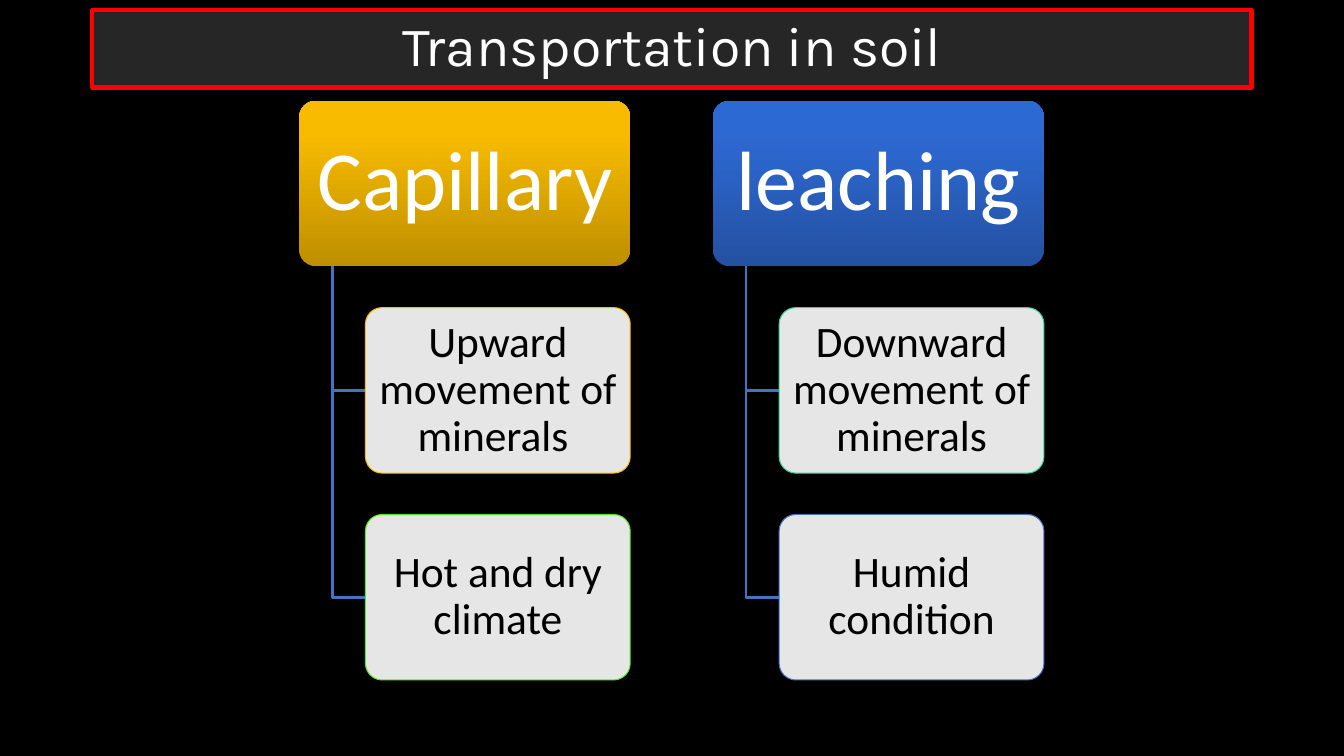
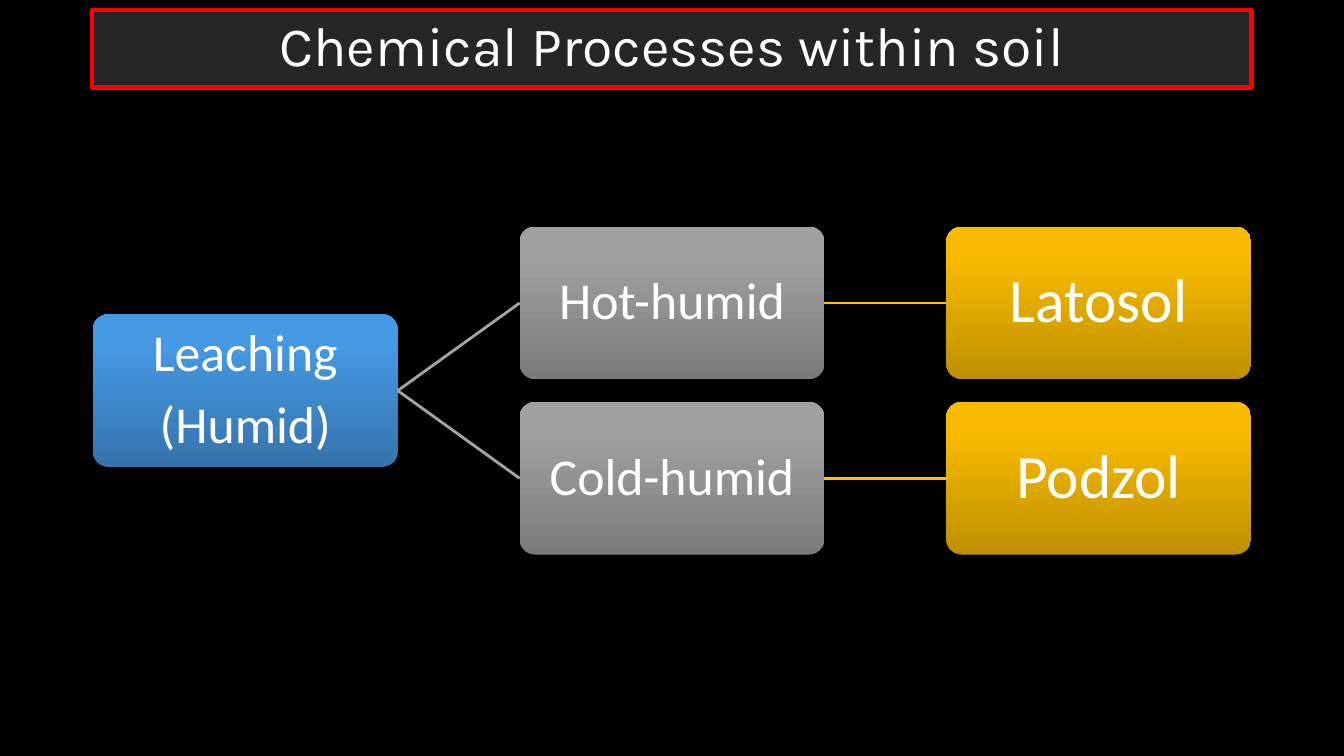
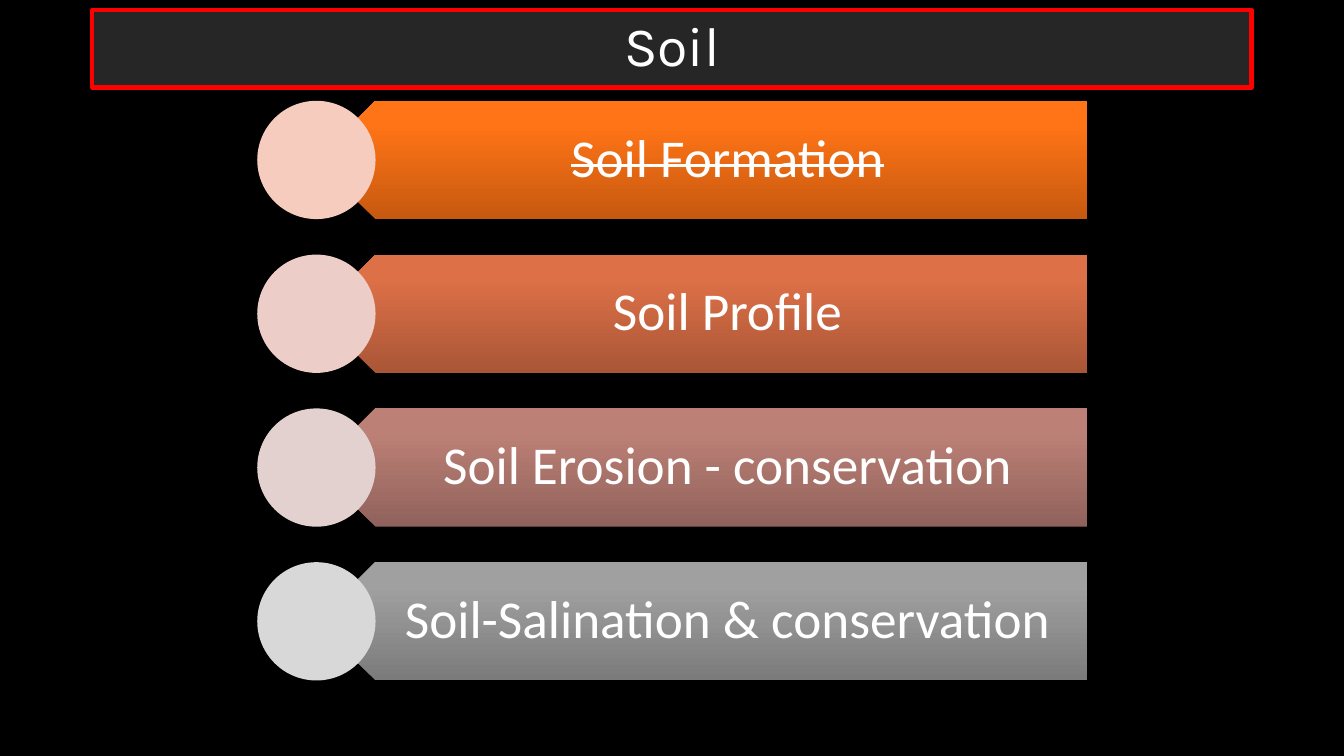
from lxml.etree import SubElement
from pptx import Presentation
from pptx.dml.color import RGBColor
from pptx.enum.shapes import MSO_CONNECTOR, MSO_SHAPE as Preset
from pptx.enum.text import MSO_ANCHOR, MSO_AUTO_SIZE, PP_ALIGN
from pptx.oxml.ns import qn
from pptx.util import Pt

BLACK = RGBColor(0x00, 0x00, 0x00)
WHITE = RGBColor(0xFF, 0xFF, 0xFF)
TITLE_FILL = RGBColor(0x26, 0x26, 0x26)
RED = RGBColor(0xFF, 0x00, 0x00)
PALE = RGBColor(0xE6, 0xE6, 0xE6)
BLUE = RGBColor(0x44, 0x72, 0xC4)
AMBER = RGBColor(0xFF, 0xC0, 0x00)
GREEN = RGBColor(0x53, 0xEB, 0x17)
TEAL = RGBColor(0x2E, 0xD7, 0xA1)
SILVER = RGBColor(0xA5, 0xA5, 0xA5)
PEACH = RGBColor(0xF6, 0xCC, 0xBE)
ROSE = RGBColor(0xED, 0xCD, 0xC7)
MAUVE = RGBColor(0xE3, 0xD1, 0xCF)
LIGHT_GRAY = RGBColor(0xD8, 0xD8, 0xD8)

# Gradients, as (bottom, top)
GOLD_FADE = RGBColor(0xBE, 0x8F, 0x00), RGBColor(0xF8, 0xBB, 0x00)
ROYAL_FADE = RGBColor(0x24, 0x51, 0xA1), RGBColor(0x2D, 0x69, 0xD3)
SKY_FADE = RGBColor(0x36, 0x74, 0xAD), RGBColor(0x45, 0x98, 0xE2)
GRAY_FADE = RGBColor(0x7B, 0x7B, 0x7B), RGBColor(0xA0, 0xA0, 0xA0)
ORANGE_FADE = RGBColor(0xC6, 0x59, 0x10), RGBColor(0xFF, 0x74, 0x16)
RUST_FADE = RGBColor(0xA9, 0x56, 0x37), RGBColor(0xDD, 0x70, 0x47)
DUSK_FADE = RGBColor(0x90, 0x62, 0x5B), RGBColor(0xBC, 0x80, 0x76)

TRANSPORT = [
    ("Capillary", GOLD_FADE,
     [("Upward movement of minerals ", AMBER), ("Hot and dry climate", GREEN)]),
    ("leaching", ROYAL_FADE,
     [("Downward movement of minerals", TEAL), ("Humid condition", BLUE)]),
]
LEACHING = ["Leaching", "(Humid)"]
SOIL_TYPES = [("Hot-humid", "Latosol"), ("Cold-humid", "Podzol")]
# Text, bar gradient, circle colour, struck through
TOPICS = [
    ("Soil Formation", ORANGE_FADE, PEACH, True),
    ("Soil Profile", RUST_FADE, ROSE, False),
    ("Soil Erosion - conservation", DUSK_FADE, MAUVE, False),
    ("Soil-Salination & conservation", GRAY_FADE, LIGHT_GRAY, False),
]


def add_page(deck, title):
    page = deck.slides.add_slide(deck.slide_layouts[5])
    box = page.shapes.title
    box.left, box.top, box.width, box.height = Pt(66), Pt(7.2), Pt(828), Pt(55.4)
    box.fill.solid()
    box.fill.fore_color.rgb = TITLE_FILL
    box.line.color.rgb = RED
    box.line.width = Pt(3)
    write(box, [title], 39.6, WHITE, "Karla", (7.2, 3.6, 7.2, 3.6))
    return page


def write(box, lines, size, color, font="Calibri", insets=(2, 2, 2, 2)):
    frame = box.text_frame
    frame.word_wrap = True
    frame.auto_size = MSO_AUTO_SIZE.NONE
    frame.vertical_anchor = MSO_ANCHOR.MIDDLE
    (frame.margin_left, frame.margin_top,
     frame.margin_right, frame.margin_bottom) = map(Pt, insets)
    for index, line in enumerate(lines):
        para = frame.add_paragraph() if index else frame.paragraphs[0]
        para.add_run().text = line
        para.alignment = PP_ALIGN.CENTER
        para.line_spacing = 0.9
        if index:
            para.space_before = Pt(12)
        para.font.name = font
        para.font.size = Pt(size)
        para.font.color.rgb = color


def add_preset(page, preset, left, top, width, height, fill, outline=None):
    """Draw a shape filled with one colour or with a (bottom, top) gradient."""
    shape = page.shapes.add_shape(preset, Pt(left), Pt(top), Pt(width), Pt(height))
    shape.shadow.inherit = False
    if preset == Preset.ROUNDED_RECTANGLE:
        shape.adjustments[0] = 0.1
    if isinstance(fill, RGBColor):
        shape.fill.solid()
        shape.fill.fore_color.rgb = fill
    else:
        shape.fill.gradient()
        shape.fill.gradient_angle = 90
        for stop, position, color in zip(shape.fill.gradient_stops, (0, 0.8), fill):
            stop.position = position
            stop.color.rgb = color
    if outline is None:
        shape.line.fill.background()
    else:
        shape.line.color.rgb = outline
        shape.line.width = Pt(0.75)
    return shape


def add_branch(page, x, top, bottom, right):
    """Draw a line down from (x, top) and then across to (right, bottom)."""
    builder = page.shapes.build_freeform(Pt(x), Pt(top))
    builder.add_line_segments(
        [(Pt(x), Pt(bottom)), (Pt(right), Pt(bottom))], close=False)
    branch = builder.convert_to_shape()
    branch.shadow.inherit = False
    branch.fill.background()
    branch.line.color.rgb = BLUE
    branch.line.width = Pt(2)


def join(page, source, target, color):
    link = page.shapes.add_connector(MSO_CONNECTOR.STRAIGHT, 0, 0, 0, 0)
    link.begin_connect(source, 3)
    link.end_connect(target, 1)
    link.line.color.rgb = color
    link.line.width = Pt(2)
    SubElement(link.element.spPr, qn("a:effectLst"))


def build_transport(deck):
    page = add_page(deck, "Transportation in soil")
    height = 118.2
    width = 2 * height
    for column, (heading, fade, details) in enumerate(TRANSPORT):
        left, top = 213.8 + column * 2.5 * height, 72
        head = add_preset(page, Preset.ROUNDED_RECTANGLE, left, top, width, height, fade)
        write(head, [heading], 60, WHITE, insets=(8.6, 5.8, 8.6, 5.8))
        child_left = left + 0.2 * width
        for row, (detail, outline) in enumerate(details, 1):
            child_top = top + row * 1.25 * height
            add_branch(page, left + 0.1 * width, top + height,
                       child_top + height / 2, child_left)
            child = add_preset(page, Preset.ROUNDED_RECTANGLE, child_left, child_top,
                               0.8 * width, height, PALE, outline)
            write(child, [detail], 31, BLACK, insets=(4.3, 2.9, 4.3, 2.9))


def build_processes(deck):
    page = add_page(deck, "Chemical Processes within soil")
    width, height = 217.7, 108.9
    first_top, row_step = 162, 1.15 * height

    def add_node(column, row, lines, size, fade):
        node = add_preset(page, Preset.ROUNDED_RECTANGLE, 66.4 + column * 1.4 * width,
                          first_top + row * row_step, width, height, fade)
        write(node, lines, size, WHITE)
        return node

    root = add_node(0, 0.5, LEACHING, 37, SKY_FADE)
    for row, (climate, soil) in enumerate(SOIL_TYPES):
        climate_node = add_node(1, row, [climate], 37, GRAY_FADE)
        soil_node = add_node(2, row, [soil], 44, GOLD_FADE)
        join(page, root, climate_node, SILVER)
        join(page, climate_node, soil_node, AMBER)


def build_topics(deck):
    page = add_page(deck, "Soil")
    left, height = 226, 84.5
    for row, (topic, fade, circle_color, struck) in enumerate(TOPICS):
        top = 72 + row * 1.3 * height
        bar = add_preset(page, Preset.PENTAGON, left, top, 550.6, height, fade)
        bar.element.spPr.get_or_add_xfrm().set("flipH", "1")
        write(bar, [topic], 38, WHITE, insets=(37.4, 11.5, 21.6, 11.5))
        if struck:
            span = bar.text_frame.paragraphs[0].runs[0]
            span._r.get_or_add_rPr().set("strike", "sngStrike")
        add_preset(page, Preset.OVAL, left - height / 2, top, height, height, circle_color)


def main():
    deck = Presentation()
    deck.slide_width, deck.slide_height = Pt(960), Pt(540)
    background = deck.slide_master.background.fill
    background.solid()
    background.fore_color.rgb = BLACK
    build_transport(deck)
    build_processes(deck)
    build_topics(deck)
    deck.save("out.pptx")


if __name__ == "__main__":
    main()
